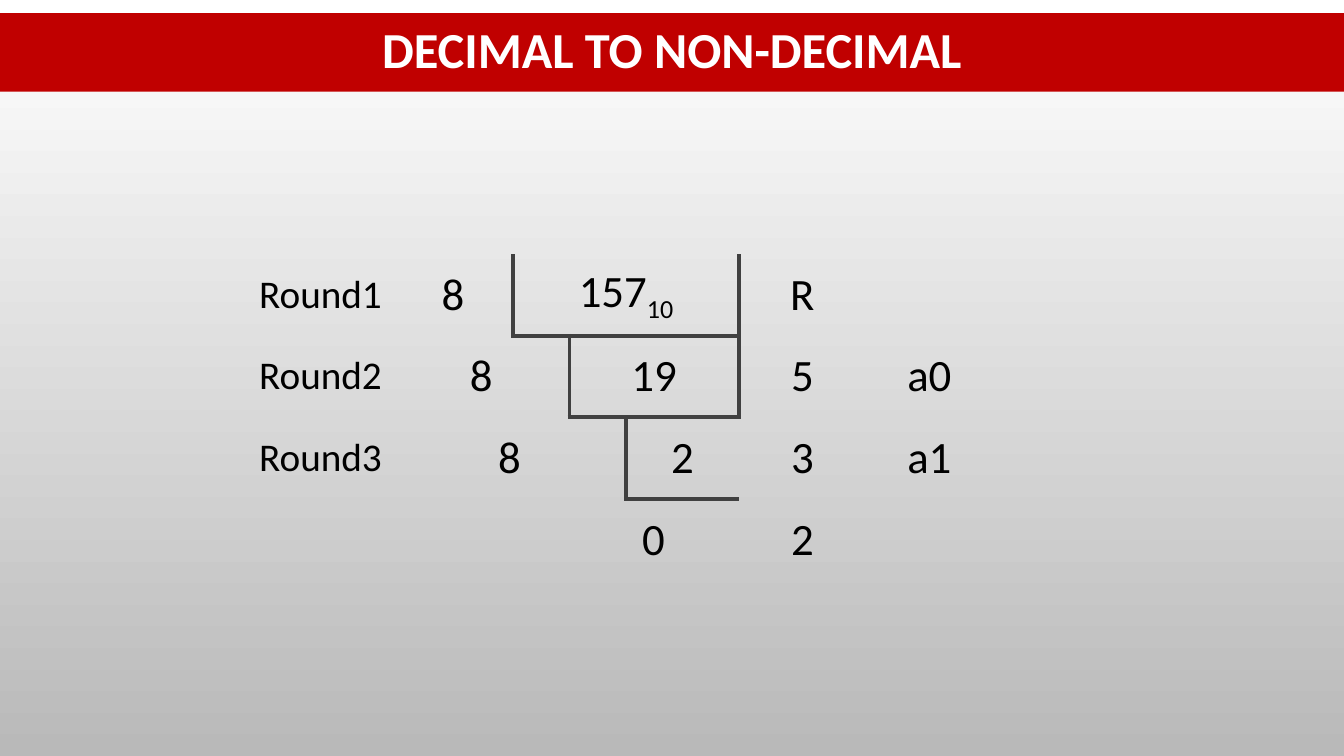
"""Build the slide that divides a decimal number by eight, round by round."""
from dataclasses import dataclass

import lxml.etree
import pptx
import pptx.dml.color
import pptx.enum.shapes
import pptx.enum.text
import pptx.oxml.ns
import pptx.slide
import pptx.table
import pptx.text.text
import pptx.util

HUES = {"red": "C00000", "white": "FFFFFF", "grey": "B9B9B9", "line": "404040", "black": "000000"}
FONT = "Calibri"
WIDE, HIGH = pptx.util.Inches(13.33), pptx.util.Inches(7.5)
LEFT, TOP, ROW = 18.45, 33.6, 10.8
COLS = (10.8, 8.93, 4.2, 4.2, 8.4, 9.45, 9.45)
ROWS = 4
PLAIN = "{2D5ABB26-0587-4C30-8999-92F81FD0307C}"
MID = pptx.enum.text.MSO_ANCHOR.MIDDLE


@dataclass(frozen=True)
class Entry:
    row: int
    col: int
    text: str
    span: int = 1
    edges: str = ""
    size: int = 32
    sub: str = ""
    inset: float = 0


ENTRIES = (
    *(Entry(i, 0, f"Round{i + 1}", size=28) for i in range(3)),
    *(Entry(i, 1, "8", i + 1, "R") for i in range(3)),
    Entry(0, 2, "157", 3, "LB", sub="10"),
    Entry(1, 3, "19", 2, "LTB"),
    Entry(2, 4, "2", 1, "LTB"),
    Entry(3, 2, "0", 3, inset=9.6),
    *(Entry(i, 5, text) for i, text in enumerate("R532")),
    *(Entry(i + 1, 6, f"a{i}") for i in range(2)),
)


def across(share: float) -> int:
    """Turn a percentage of the slide's width into a length."""
    return round(WIDE * share / 100)


def down(share: float) -> int:
    """Turn a percentage of the slide's height into a length."""
    return round(HIGH * share / 100)


def tint(name: str) -> pptx.dml.color.RGBColor:
    """Look up a named colour."""
    return pptx.dml.color.RGBColor.from_string(HUES[name])


def write(para: pptx.text.text._Paragraph, text: str, size: int, hue: str = "black",
          bold: bool = False, drop: bool = False) -> None:
    """Add one styled run to a paragraph."""
    run = para.add_run()
    run.text = text
    font = run.font
    font.name, font.size, font.bold = FONT, pptx.util.Pt(size), bold
    font.color.rgb = tint(hue)
    if drop:
        run._r.get_or_add_rPr().set("baseline", "-25000")


def rule(cell: pptx.table._Cell, edges: str) -> None:
    """Draw the given edges of a cell."""
    props = cell._tc.get_or_add_tcPr()
    for edge in edges:
        line = lxml.etree.SubElement(props, pptx.oxml.ns.qn(f"a:ln{edge}"), w=str(pptx.util.Pt(3)))
        fill = lxml.etree.SubElement(line, pptx.oxml.ns.qn("a:solidFill"))
        lxml.etree.SubElement(fill, pptx.oxml.ns.qn("a:srgbClr"), val=HUES["line"])


def place(table: pptx.table.Table, entry: Entry) -> None:
    """Fill one table entry with its text and edges."""
    cell = table.cell(entry.row, entry.col)
    last = entry.col + entry.span - 1
    if entry.span > 1:
        cell.merge(table.cell(entry.row, last))
    for col in range(entry.col, last + 1):
        rule(table.cell(entry.row, col), entry.edges)
    cell.vertical_anchor = MID
    para = cell.text_frame.paragraphs[0]
    para.alignment = pptx.enum.text.PP_ALIGN.CENTER
    if entry.inset:
        para.alignment = pptx.enum.text.PP_ALIGN.LEFT
        cell.margin_left = across(entry.inset)
    write(para, entry.text, entry.size)
    if entry.sub:
        write(para, entry.sub, entry.size, drop=True)


def paint(slide: pptx.slide.Slide) -> None:
    """Shade the background from top to bottom."""
    fill = slide.background.fill
    fill.gradient()
    fill.gradient_angle = 270
    for stop, hue in zip(fill.gradient_stops, ("white", "grey")):
        stop.color.rgb = tint(hue)


def head(slide: pptx.slide.Slide) -> None:
    """Draw the title band."""
    band = slide.shapes.add_shape(pptx.enum.shapes.MSO_SHAPE.RECTANGLE,
                                  0, down(1.73), WIDE, down(10.4))
    band.shadow.inherit = False
    band.fill.solid()
    band.fill.fore_color.rgb = tint("red")
    band.line.fill.background()
    band.text_frame.word_wrap = True
    band.text_frame.vertical_anchor = MID
    para = band.text_frame.paragraphs[0]
    para.alignment = pptx.enum.text.PP_ALIGN.CENTER
    para.line_spacing = 0.9
    write(para, "DECIMAL TO NON-DECIMAL", 36, "white", bold=True)


def divide(slide: pptx.slide.Slide) -> None:
    """Draw the division table."""
    table = slide.shapes.add_table(ROWS, len(COLS), across(LEFT), down(TOP),
                                   across(sum(COLS)), down(ROW * ROWS)).table
    table.first_row = table.horz_banding = False
    table._tbl.tblPr.find(pptx.oxml.ns.qn("a:tableStyleId")).text = PLAIN
    for col, share in zip(table.columns, COLS):
        col.width = across(share)
    for row in table.rows:
        row.height = down(ROW)
    for entry in ENTRIES:
        place(table, entry)
    for cell in table.iter_cells():
        cell.fill.background()


def main() -> None:
    """Build and save the deck."""
    deck = pptx.Presentation()
    deck.slide_width, deck.slide_height = WIDE, HIGH
    slide = deck.slides.add_slide(deck.slide_layouts[6])
    paint(slide)
    head(slide)
    divide(slide)
    deck.save("out.pptx")


if __name__ == "__main__":
    main()
